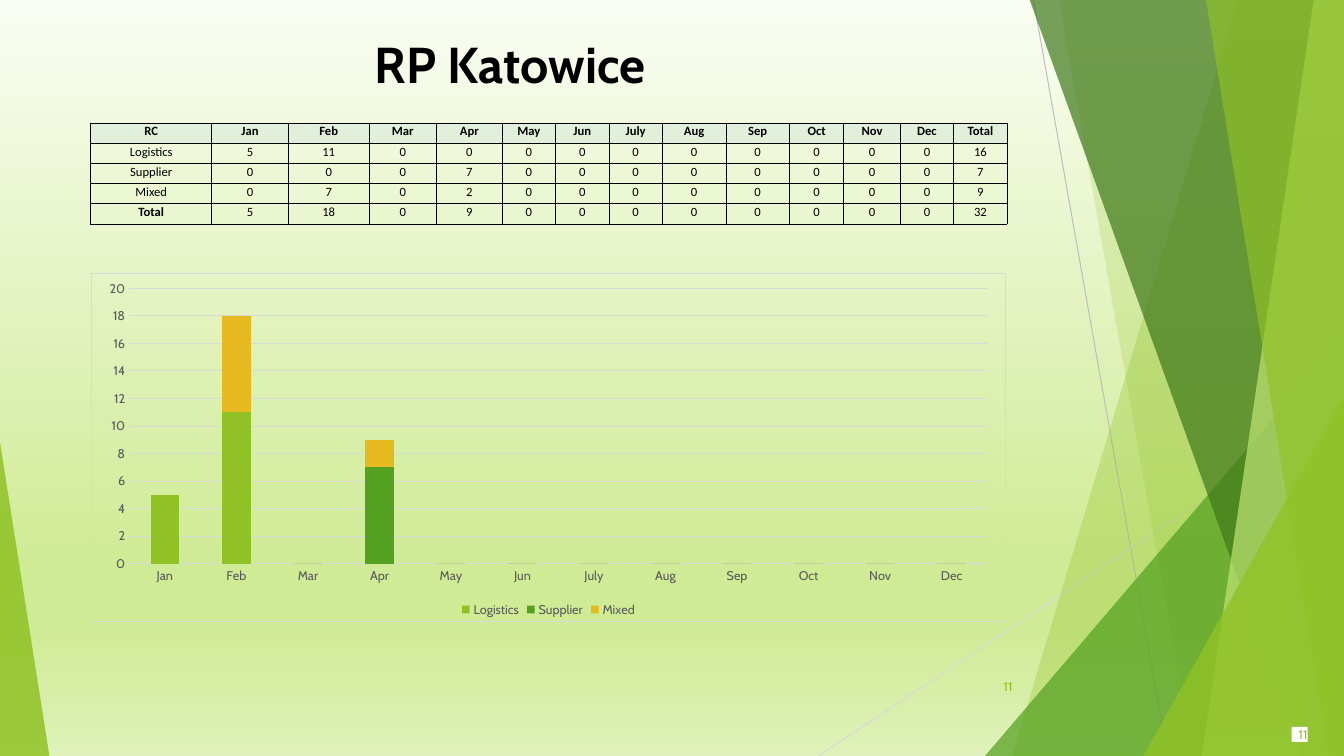
from lxml import etree
from pptx import Presentation
from pptx import util as u
from pptx.chart.data import CategoryChartData
from pptx.dml.color import RGBColor
from pptx.enum import chart as ch, shapes as sh, text as tx
from pptx.oxml import parse_xml
from pptx.oxml.ns import nsdecls, qn

PX = 9144
FONT, GREY, RULE, LIME = "Cabin", "595959", "D9D9D9", "90C226"
WIDE, HIGH = 1333, 750

SKY = [(0, "FAFDF3"), (74, "D0EB96"), (83, "D0EB96"), (100, "DFF1B9")]
RAYS = [((1025, 0, 1158, 750), "BFBFBF"), ((1333, 403, 812, 750), RULE)]
DECOR = [
    ("panel", (1228, 1004), LIME, 30),
    ("panel", (1050, 1183), LIME, 20),
    ("wedge", (977, 333, 356, 417, 1), "54A021", 72),
    ("panel", (1021, 1291), "3F7819", 70),
    ("panel", (1303, 1192), "C0E474", 70),
    ("panel", (1196, 1318), LIME, 65),
    ("wedge", (1134, 393, 199, 357, 1), LIME, 80),
    ("wedge", (0, 439, 49, 311, 0), LIME, 85),
]
TITLE = "RP Katowice"
PAGE = "11"
MONTHS = ["Jan", "Feb", "Mar", "Apr", "May", "Jun",
          "July", "Aug", "Sep", "Oct", "Nov", "Dec"]
SERIES = [
    ("Logistics", [5, 11] + [0] * 10, LIME),
    ("Supplier", [0, 0, 0, 7] + [0] * 8, "54A021"),
    ("Mixed", [0, 7, 0, 2] + [0] * 8, "E6B91E"),
]
COLS = [120, 76, 80, 67, 65, 53, 53, 53, 63, 63, 54, 56, 53, 53]
ROW = 20


def px(*nums):
    return [u.Emu(n * PX) for n in nums]


def rgb(code):
    return RGBColor.from_string(code)


def paint(shape, code, alpha=100):
    shape.shadow.inherit = False
    shape.line.fill.background()
    shape.fill.solid()
    shape.fill.fore_color.rgb = rgb(code)
    if alpha < 100:
        tint = shape.fill._xPr.find(".//" + qn("a:srgbClr"))
        etree.SubElement(tint, qn("a:alpha")).set("val", str(alpha * 1000))


def style(font, size, code, bold=False, face=FONT):
    font.name, font.size, font.bold = face, u.Pt(size), bold
    font.color.rgb = rgb(code)


def write(frame, words, align, size, code, **more):
    para = frame.paragraphs[0]
    para.text = words
    para.alignment = align
    style(para.font, size, code, **more)


def sky(slide):
    fill = slide.background.fill
    fill.gradient()
    fill.gradient_angle = 270
    stops = slide.element.find(".//" + qn("a:gsLst"))
    for old in list(stops):
        stops.remove(old)
    for pos, code in SKY:
        stop = etree.SubElement(stops, qn("a:gs"), pos=str(pos * 1000))
        etree.SubElement(stop, qn("a:srgbClr"), val=code)


def decor(slide):
    for ends, code in RAYS:
        ray = slide.shapes.add_connector(sh.MSO_CONNECTOR.STRAIGHT, *px(*ends))
        ray.line.color.rgb = rgb(code)
        ray.line.width = u.Pt(0.75)
        etree.SubElement(ray.element.spPr, qn("a:effectLst"))
    for kind, spot, code, alpha in DECOR:
        if kind == "panel":
            top, foot = spot
            pen = slide.shapes.build_freeform(top, -1, scale=PX)
            pen.add_line_segments([(WIDE, -1), (WIDE, HIGH), (foot, HIGH)])
            shape = pen.convert_to_shape()
        else:
            shape = slide.shapes.add_shape(
                sh.MSO_SHAPE.ISOSCELES_TRIANGLE, *px(*spot[:4]))
            shape.adjustments[0] = spot[4]
        paint(shape, code, alpha)


def labels(slide):
    badge = slide.shapes.add_shape(
        sh.MSO_SHAPE.RECTANGLE, *px(1281, 721, 16, 15))
    paint(badge, "FFFFFF")
    frame = badge.text_frame
    frame.margin_left = frame.margin_right = 0
    frame.margin_top = frame.margin_bottom = 0
    frame.word_wrap = False
    frame.vertical_anchor = tx.MSO_ANCHOR.MIDDLE
    write(frame, PAGE, tx.PP_ALIGN.RIGHT, 9, LIME)

    frame = slide.shapes.add_textbox(*px(939, 661, 75, 40)).text_frame
    frame.word_wrap = True
    frame.vertical_anchor = tx.MSO_ANCHOR.MIDDLE
    write(frame, PAGE, tx.PP_ALIGN.RIGHT, 9, LIME)

    frame = slide.shapes.add_textbox(*px(-37, 28, 1086, 81)).text_frame
    frame.word_wrap = True
    write(frame, TITLE, tx.PP_ALIGN.CENTER, 36, "000000", bold=True)


def border(cell):
    props = cell._tc.get_or_add_tcPr()
    for side in "LRTB":
        props.append(parse_xml(
            f'<a:ln{side} {nsdecls("a")} w="6350"><a:solidFill>'
            f'<a:srgbClr val="000000"/></a:solidFill></a:ln{side}>'))


def table(slide):
    sums = [sum(col) for col in zip(*(vals for _, vals, _ in SERIES))]
    body = [(name, vals) for name, vals, _ in SERIES] + [("Total", sums)]
    rows = [["RC", *MONTHS, "Total"]]
    rows += [[name, *vals, sum(vals)] for name, vals in body]
    grid = slide.shapes.add_table(
        len(rows), len(COLS), *px(90, 122, sum(COLS), ROW * len(rows))).table
    grid.first_row = grid.horz_banding = False
    for col, wide in zip(grid.columns, COLS):
        col.width = px(wide)[0]
    for r, row in enumerate(rows):
        grid.rows[r].height = px(ROW)[0]
        for c, item in enumerate(row):
            cell = grid.cell(r, c)
            border(cell)
            if r == 0:
                cell.fill.solid()
                cell.fill.fore_color.rgb = rgb("E2EFDA")
            else:
                cell.fill.background()
            cell.margin_left, cell.margin_right = px(1, 1)
            cell.margin_top, cell.margin_bottom = px(1, 4)
            cell.vertical_anchor = tx.MSO_ANCHOR.BOTTOM
            write(cell.text_frame, str(item), tx.PP_ALIGN.CENTER, 9, "000000",
                  bold=r == 0 or item == "Total", face="Calibri")


def chart(slide):
    data = CategoryChartData()
    data.categories = MONTHS
    for name, vals, _ in SERIES:
        data.add_series(name, vals)
    graph = slide.shapes.add_chart(
        ch.XL_CHART_TYPE.COLUMN_STACKED, *px(90, 271, 908, 346), data).chart
    graph.has_title = False
    style(graph.font, 10, "000000")
    plot = graph.plots[0]
    plot.gap_width, plot.overlap = 150, 100
    plot.vary_by_categories = False
    for bar, (_, _, code) in zip(plot.series, SERIES):
        bar.format.fill.solid()
        bar.format.fill.fore_color.rgb = rgb(code)
    cat, val = graph.category_axis, graph.value_axis
    for axis in (cat, val):
        axis.major_tick_mark = axis.minor_tick_mark = ch.XL_TICK_MARK.NONE
        style(axis.tick_labels.font, 9, GREY)
    val.minimum_scale, val.maximum_scale, val.major_unit = 0, 20, 2
    val.format.line.fill.background()
    for line in (cat.format.line, val.major_gridlines.format.line):
        line.color.rgb = rgb(RULE)
        line.width = u.Pt(0.75)
    graph.has_legend = True
    graph.legend.position = ch.XL_LEGEND_POSITION.BOTTOM
    graph.legend.include_in_layout = False
    style(graph.legend.font, 9, GREY)
    graph.element.find(qn("c:chart")).addnext(parse_xml(
        f'<c:spPr {nsdecls("c", "a")}><a:noFill/><a:ln w="9525"><a:solidFill>'
        f'<a:srgbClr val="{RULE}"/></a:solidFill></a:ln></c:spPr>'))


def main():
    deck = Presentation()
    deck.slide_width, deck.slide_height = px(WIDE, HIGH)
    slide = deck.slides.add_slide(deck.slide_layouts[6])
    for part in (sky, decor, labels, chart, table):
        part(slide)
    deck.save("out.pptx")


if __name__ == "__main__":
    main()
